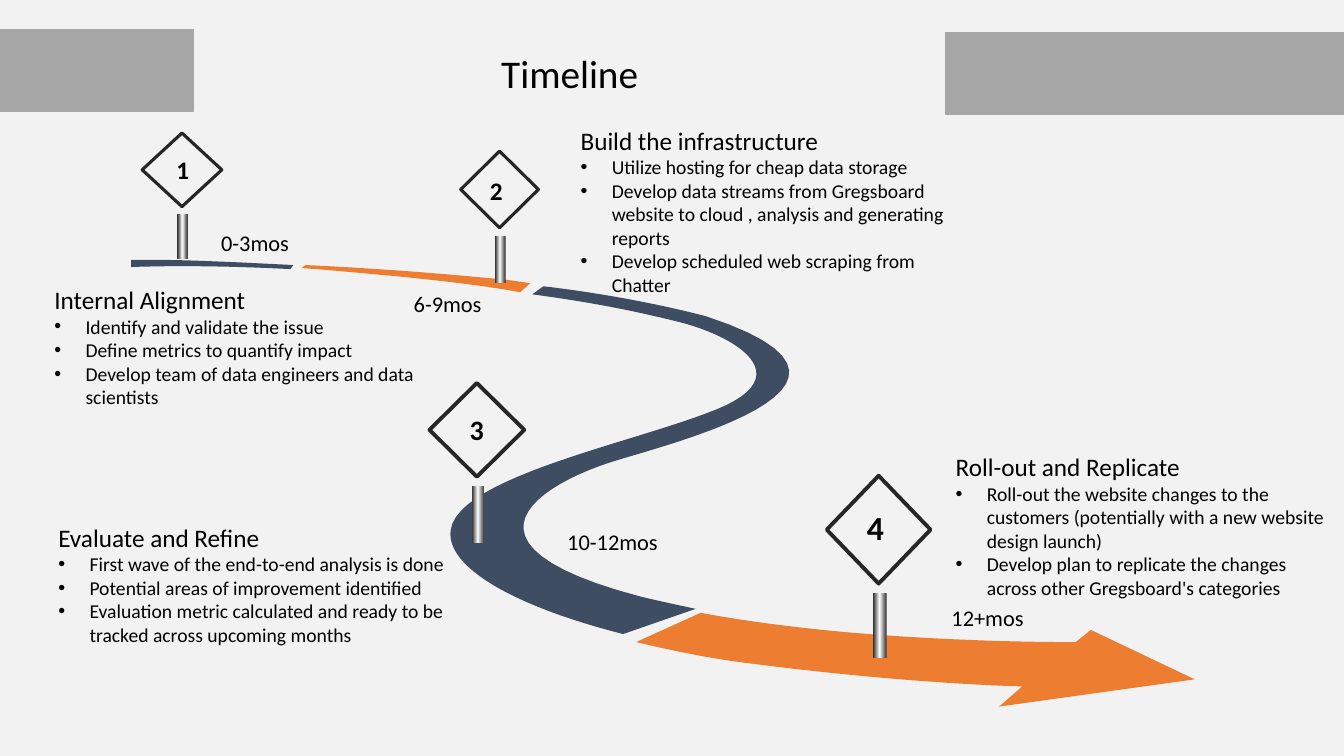
from copy import deepcopy

from pptx import Presentation
from pptx.dml.color import RGBColor as RGB
from pptx.enum.shapes import MSO_SHAPE as SHAPE
from pptx.enum.text import MSO_ANCHOR as ANCHOR, MSO_AUTO_SIZE as FIT, PP_ALIGN as ALIGN
from pptx.oxml.ns import qn
from pptx.util import Inches, Pt

# The slide is a grid of 1333 columns by 750 rows.
CELL = Inches(0.01)
NAVY, ORANGE, GREY, DARK = "3E4D62", "ED7D31", "A6A6A6", "262626"

deck = Presentation()
deck.slide_width, deck.slide_height = 1333 * CELL, 750 * CELL
slide = deck.slides.add_slide(deck.slide_layouts[6])
slide.background.fill.solid()
slide.background.fill.fore_color.rgb = RGB.from_string("F2F2F2")
shapes = slide.shapes


def paint(shape, fill=None, line=None, width=1):
    shape.shadow.inherit = False
    for part, color in ((shape.fill, fill), (shape.line.fill, line)):
        if color:
            part.solid()
            part.fore_color.rgb = RGB.from_string(color)
        else:
            part.background()
    if line:
        shape.line.width = Pt(width)


def write(box, head, items=(), size=18, bold=False, align=ALIGN.LEFT,
          anchor=ANCHOR.TOP, pad=None, space=1, fit=FIT.NONE):
    """Add a text box: a heading, then bulleted items at 14 pt."""
    frame = shapes.add_textbox(*(n * CELL for n in box)).text_frame
    frame.word_wrap, frame.auto_size, frame.vertical_anchor = True, fit, anchor
    if pad:
        frame.margin_left = frame.margin_right = pad * CELL
        frame.margin_top = frame.margin_bottom = pad * CELL
    for i, line in enumerate((head, *items)):
        para = frame.add_paragraph() if i else frame.paragraphs[0]
        if i:
            props = para._p.get_or_add_pPr()
            props.set("marL", str(31 * CELL))
            props.set("indent", str(-31 * CELL))
            props.makeelement(qn("a:buFont"))
            for tag, key, value in (("a:buFont", "typeface", "Arial"),
                                    ("a:buChar", "char", "•")):
                props.append(props.makeelement(qn(tag), {key: value}))
        para.alignment, para.line_spacing = align, space
        run = para.add_run()
        run.text = line
        run.font.name, run.font.bold = "Calibri", bold
        run.font.size = Pt(14 if i else size)
        run.font.color.rgb = RGB.from_string("000000")


for box in ((0, 29, 192, 81), (938, 32, 395, 81)):
    paint(shapes.add_shape(SHAPE.RECTANGLE, *(n * CELL for n in box)), GREY, GREY)
write((192, 32, 746, 81), "Timeline", size=28, align=ALIGN.CENTER, anchor=ANCHOR.MIDDLE)

# Each road part: colour, start, then lines (x, y) and curves (two handles, end).
roads = [
    (NAVY, (636, 592), [
        (437, 540, 536, 479, 614, 456), (691, 433, 896, 378, 701, 314),
        (701, 314, 633, 295, 539, 284), (528, 292),
        (595, 301, 635, 310, 672, 319), (732, 334, 792, 373, 711, 406),
        (630, 439, 454, 473, 447, 526), (442, 562, 508, 601, 618, 629),
        (690, 604), (671, 600, 653, 596, 636, 592)]),
    (NAVY, (130, 258), [
        (130, 265), (130, 265, 192, 262, 288, 267), (291, 263),
        (231, 260, 173, 257, 130, 258)]),
    (ORANGE, (485, 276), [
        (434, 271, 368, 266, 303, 263), (299, 266),
        (328, 268, 359, 271, 392, 274), (443, 279, 484, 284, 516, 290),
        (526, 281), (513, 279, 499, 277, 485, 276)]),
    (ORANGE, (1185, 674), [
        (1082, 625), (1067, 637), (1067, 637, 859, 639, 695, 608), (631, 637),
        (660, 644, 693, 651, 727, 656), (899, 679, 1014, 681, 1014, 681),
        (991, 701)]),
]
STEPS = 24
for color, start, parts in roads:
    dots = [start]
    for part in parts:
        if len(part) == 2:
            dots.append(part)
            continue
        knots = [dots[-1], part[:2], part[2:4], part[4:]]
        for t in (n / STEPS for n in range(1, STEPS + 1)):
            share = ((1 - t) ** 3, 3 * t * (1 - t) ** 2, 3 * t * t * (1 - t), t ** 3)
            dots.append(tuple(sum(s * k[axis] for s, k in zip(share, knots))
                              for axis in (0, 1)))
    dots = [(x * CELL, y * CELL) for x, y in dots]
    road = shapes.build_freeform(*dots[0])
    road.add_line_segments(dots[1:], close=True)
    paint(road.convert_to_shape(), color)

# Each sign: post box, diamond box, line width, number box, number size.
signs = [
    ((176, 212, 10, 45), (139, 130, 83, 77), 2.25, (165, 148, 32, 40), 18),
    ((491, 234, 10, 47), (455, 148, 81, 80), 2.25, (476, 169, 32, 40), 18),
    ((468, 482, 12, 57), (424, 378, 98, 97), 2.75, (456, 404, 32, 44), 20),
    ((866, 588, 13, 65), (818, 470, 107, 111), 2.75, (850, 498, 37, 50), 24),
]
for num, (pole, frame, width, label, size) in enumerate(signs, 1):
    post = shapes.add_shape(SHAPE.RECTANGLE, *(n * CELL for n in pole))
    paint(post)
    post.fill.gradient()
    post.fill.gradient_angle = 0
    stops = post._element.spPr.find(".//" + qn("a:gsLst"))
    stops.insert(1, deepcopy(stops[0]))
    shades = ((0, DARK), (0.5, "FFFFFF"), (1, "404040"))
    for stop, (pos, shade) in zip(post.fill.gradient_stops, shades):
        stop.position, stop.color.rgb = pos, RGB.from_string(shade)

    x, y, w, h = frame
    sign = shapes.add_shape(SHAPE.DIAMOND, *(n * CELL for n in (x + 2, y + 2, w - 4, h - 4)))
    paint(sign, line=DARK, width=width)
    edge = sign.line._get_or_add_ln()
    edge.append(edge.makeelement(qn("a:round")))
    write(label, str(num), size=size, bold=True, fit=FIT.SHAPE_TO_FIT_TEXT)

spans = [
    ((208, 217, 90, 51), "0-3mos"),
    ((399, 277, 90, 51), "6-9mos"),
    ((548, 514, 119, 49), "10-12mos"),
    ((923, 588, 113, 53), "12+mos"),
]
for box, span in spans:
    write(box, span, size=16, align=ALIGN.CENTER, anchor=ANCHOR.MIDDLE, pad=8, space=0.9)

phases = [
    ((44, 277, 408, 135), "Internal Alignment", [
        "Identify and validate the issue",
        "Define metrics to quantify impact",
        "Develop team of data engineers and data scientists"]),
    ((566, 119, 408, 158), "Build the infrastructure", [
        "Utilize hosting for cheap data storage",
        "Develop data streams from Gregsboard website to cloud , analysis "
        "and generating reports",
        "Develop scheduled web scraping from Chatter"]),
    ((48, 513, 416, 135), "Evaluate and Refine", [
        "First wave of the end-to-end analysis is done",
        "Potential areas of improvement identified",
        "Evaluation metric calculated and ready to be tracked across upcoming months"]),
    ((938, 443, 386, 158), "Roll-out and Replicate", [
        "Roll-out the website changes to the customers (potentially with a new "
        "website design launch)",
        "Develop plan to replicate the changes across other Gregsboard's categories"]),
]
for box, head, items in phases:
    write(box, head, items, fit=FIT.SHAPE_TO_FIT_TEXT)

deck.save("out.pptx")
